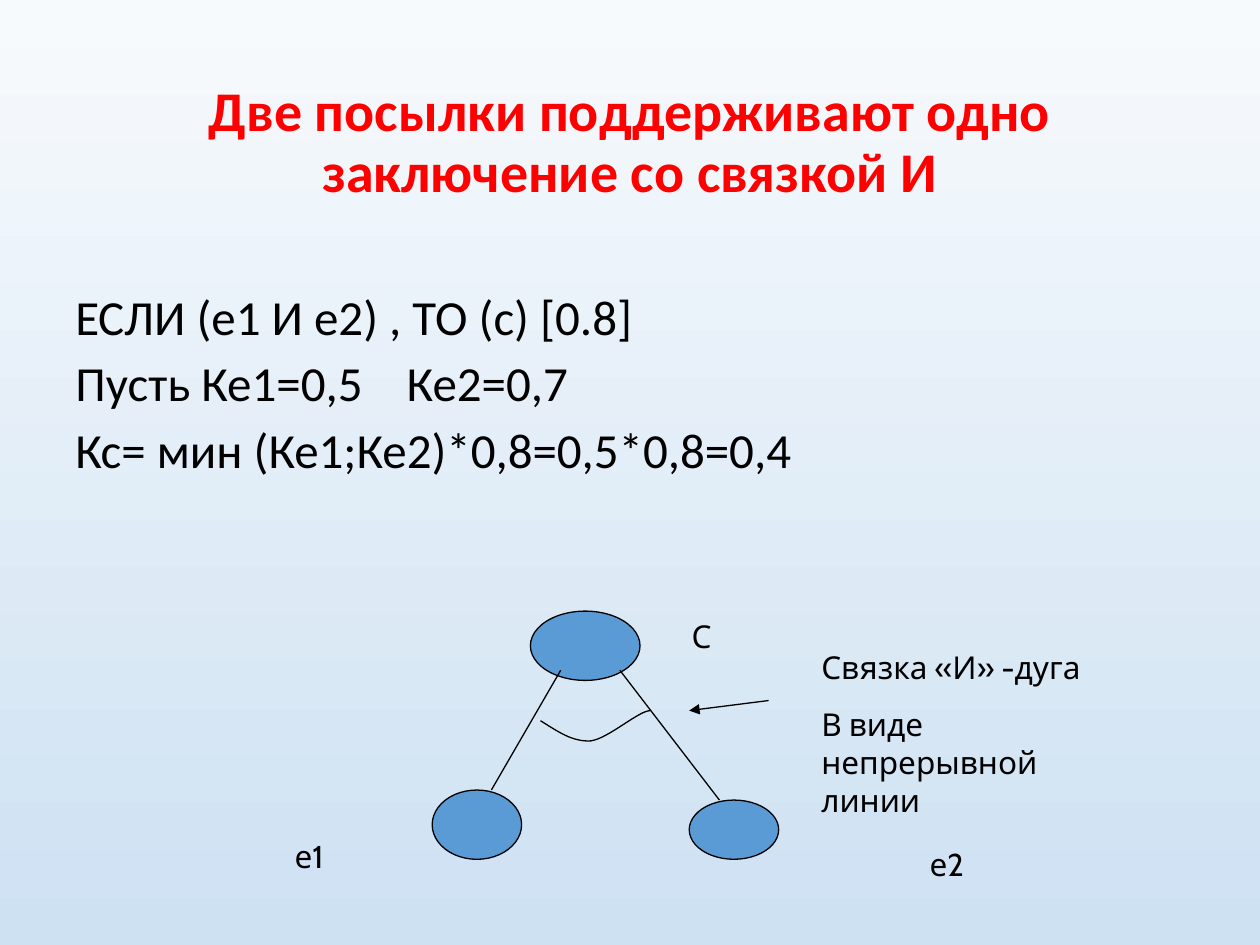
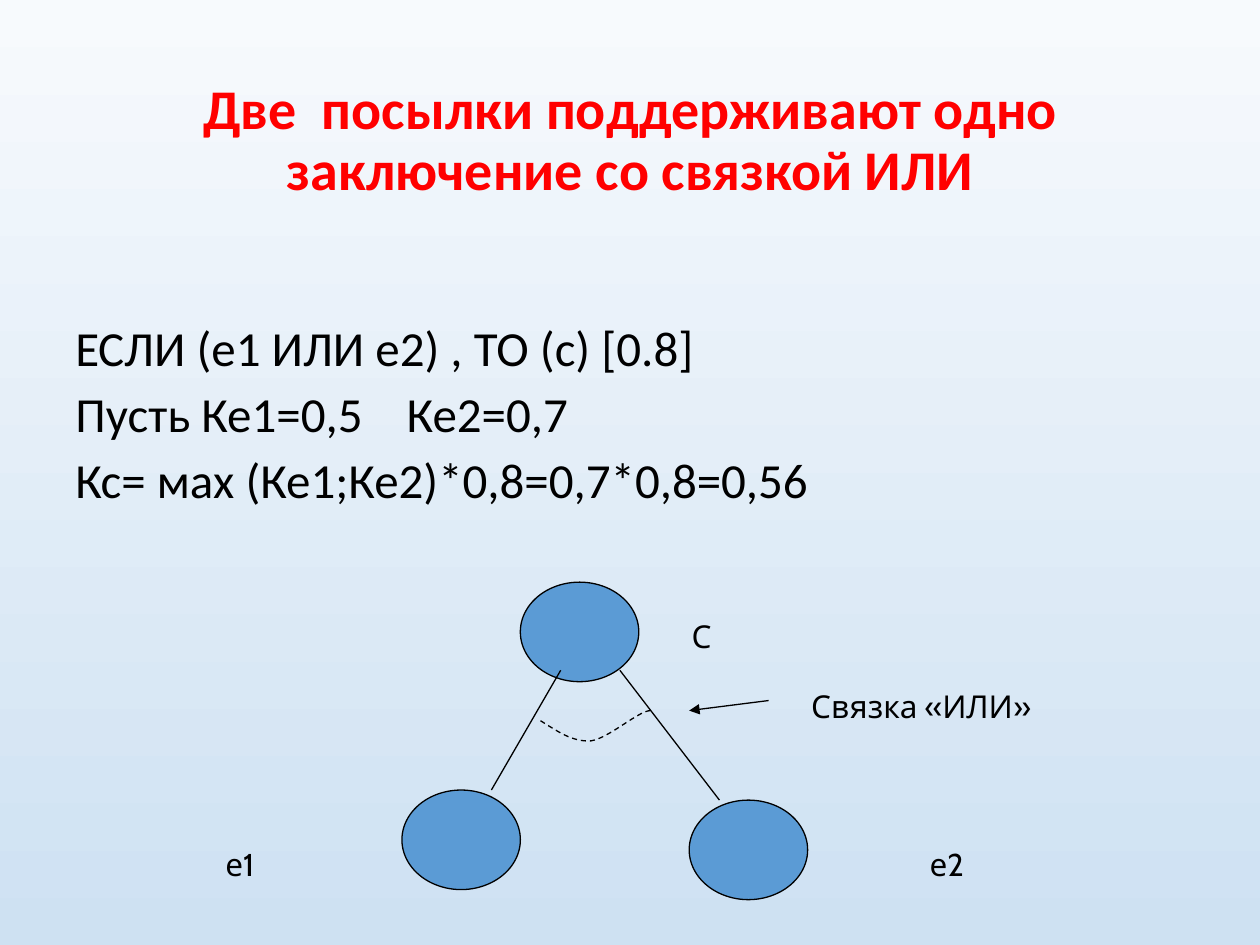
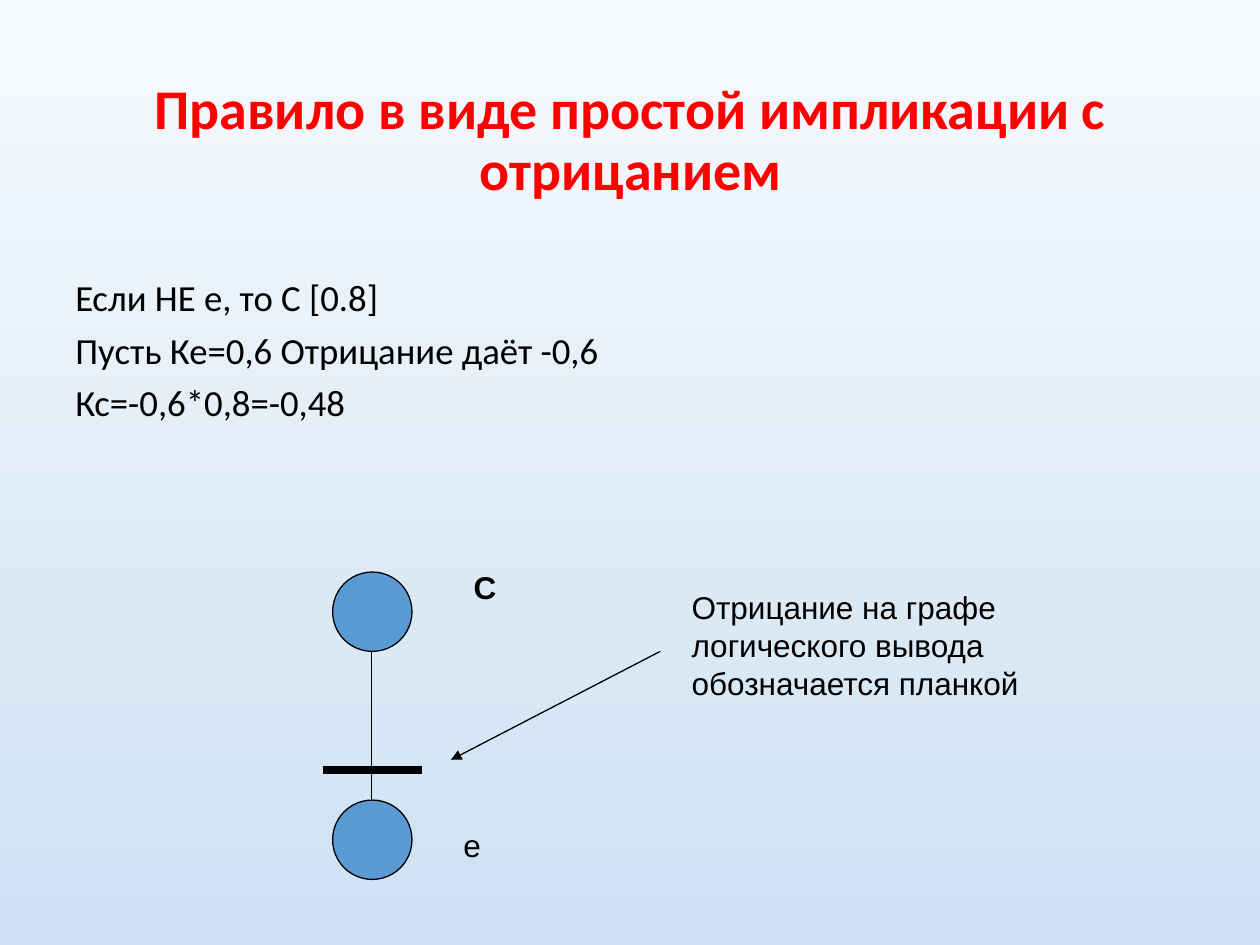
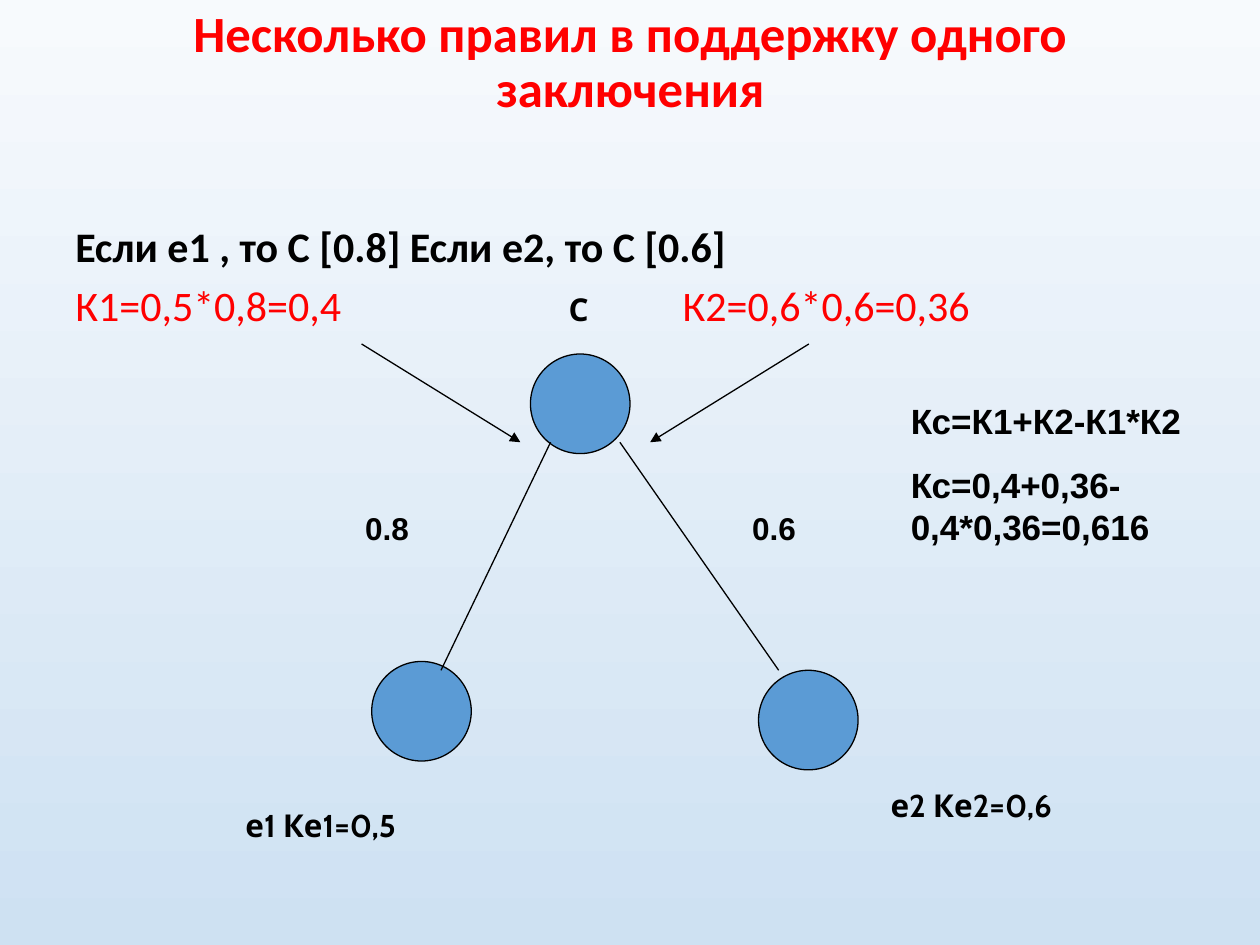
from dataclasses import dataclass
from typing import NamedTuple

from lxml import etree
from pptx import Presentation
from pptx.dml.color import RGBColor
from pptx.enum.dml import MSO_LINE
from pptx.enum.shapes import MSO_CONNECTOR, MSO_SHAPE
from pptx.enum.text import MSO_ANCHOR, MSO_AUTO_SIZE, PP_ALIGN
from pptx.oxml.ns import qn
from pptx.slide import Slide
from pptx.util import Inches, Pt

OVAL = MSO_SHAPE.OVAL
STRAIGHT = MSO_CONNECTOR.STRAIGHT
DASH = MSO_LINE.DASH
CENTER = PP_ALIGN.CENTER
MIDDLE, TOP = MSO_ANCHOR.MIDDLE, MSO_ANCHOR.TOP
FIT, FIXED = MSO_AUTO_SIZE.SHAPE_TO_FIT_TEXT, MSO_AUTO_SIZE.NONE


@dataclass(frozen=True)
class Theme:
    sky: RGBColor = RGBColor(0xF7, 0xFA, 0xFD)
    mist: RGBColor = RGBColor(0xCE, 0xE1, 0xF2)
    red: RGBColor = RGBColor(0xFF, 0, 0)
    black: RGBColor = RGBColor(0, 0, 0)
    blue: RGBColor = RGBColor(0x5B, 0x9B, 0xD5)
    text_font: str = "Calibri"
    graph_font: str = "Cabin"
    note_font: str = "Arial"
    title_size: float = 32
    small_title: float = 29
    rule_size: float = 28
    sum_size: float = 24
    short_size: float = 21
    sub_size: float = 20
    label_size: float = 18
    thin: float = 0.75
    thick: float = 4.5


THEME = Theme()


class Box(NamedTuple):
    left: float
    top: float
    width: float
    height: float


class Point(NamedTuple):
    x: float
    y: float


class Line(NamedTuple):
    start: Point
    end: Point
    arrow: bool = False
    width: float = THEME.thin


class Para(NamedTuple):
    text: str
    color: RGBColor = THEME.black
    bold: bool = False
    tab: float = 0


@dataclass(frozen=True)
class Style:
    font: str
    size: float
    before: float = 0
    spacing: float = 1.0
    align: PP_ALIGN = PP_ALIGN.LEFT
    anchor: MSO_ANCHOR = TOP
    fit: MSO_AUTO_SIZE = FIXED


def title_style(size: float) -> Style:
    return Style(THEME.text_font, size, spacing=0.9, align=CENTER, anchor=MIDDLE)


def body_style(size: float) -> Style:
    return Style(THEME.text_font, size, before=7.5, spacing=0.9)


GRAPH = Style(THEME.graph_font, THEME.label_size, before=11.2, fit=FIT)
NOTE = Style(THEME.note_font, THEME.label_size, before=11.2, fit=FIT)
RESULT = Style(THEME.note_font, THEME.sub_size, before=12.5, fit=FIT)


class Label(NamedTuple):
    box: Box
    paras: list[Para]
    style: Style = GRAPH


TITLE_BOX = Box(0.69, 0.4, 8.63, 1.45)

# Parts shared by the AND and OR graphs
FORK_LINES = [
    Line(Point(4.92, 5.32), Point(5.71, 6.35)),
    Line(Point(4.45, 5.32), Point(3.9, 6.27)),
    Line(Point(6.1, 5.56), Point(5.47, 5.64), arrow=True),
]
FORK_LABELS = [
    Label(Box(5.39, 4.85, 0.87, 0.4), [Para("С")]),
    Label(Box(7.28, 6.66, 0.55, 0.4), [Para("е2")]),
]
GIVEN = Para("Пусть Ке1=0,5\tКе2=0,7", tab=2.63)
ARC = [
    (Point(4.29, 5.72), Point(4.42, 5.8), Point(4.54, 5.89), Point(4.69, 5.88)),
    (Point(4.69, 5.88), Point(4.83, 5.86), Point(5.07, 5.64), Point(5.16, 5.64)),
]
ARC_STEPS = 16


def add_text(slide: Slide, box: Box, paras: list[Para], style: Style, lead: float = 0) -> None:
    """Write paragraphs in a box, with lead inches of extra room above them."""
    frame = slide.shapes.add_textbox(*map(Inches, box)).text_frame
    setup = {"word_wrap": True, "auto_size": style.fit, "vertical_anchor": style.anchor,
             "margin_top": Inches(0.05 + lead)}
    for name, value in setup.items():
        setattr(frame, name, value)
    for i, para in enumerate(paras):
        p = frame.add_paragraph() if i else frame.paragraphs[0]
        layout = {"alignment": style.align, "line_spacing": style.spacing,
                  "space_before": Pt(style.before)}
        for name, value in layout.items():
            setattr(p, name, value)
        if para.tab:
            tabs = etree.SubElement(p._p.get_or_add_pPr(), qn("a:tabLst"))
            etree.SubElement(tabs, qn("a:tab"), pos=str(Inches(para.tab)), algn="l")
        run = p.add_run()
        run.text = para.text
        face = {"name": style.font, "size": Pt(style.size), "bold": para.bold}
        for name, value in face.items():
            setattr(run.font, name, value)
        run.font.color.rgb = para.color


def add_node(slide: Slide, box: Box) -> None:
    node = slide.shapes.add_shape(OVAL, *map(Inches, box))
    node.shadow.inherit = False
    node.fill.solid()
    node.fill.fore_color.rgb = THEME.blue
    node.line.color.rgb = THEME.black
    node.line.width = Pt(THEME.thin)


def add_line(slide: Slide, line: Line) -> None:
    link = slide.shapes.add_connector(STRAIGHT, *map(Inches, line.start + line.end))
    link.line.color.rgb = THEME.black
    link.line.width = Pt(line.width)
    if line.arrow:
        etree.SubElement(link.line._get_or_add_ln(), qn("a:tailEnd"), type="triangle")
    etree.SubElement(link._element.spPr, qn("a:effectLst"))


def curve_at(curve: tuple[Point, ...], t: float) -> tuple[int, int]:
    """Find the point at t on a cubic curve."""
    s = 1 - t
    parts = (s ** 3, 3 * s * s * t, 3 * s * t * t, t ** 3)
    x, y = (sum(k * v for k, v in zip(parts, axis)) for axis in zip(*curve))
    return Inches(x), Inches(y)


def add_arc(slide: Slide, dashed: bool) -> None:
    pen = slide.shapes.build_freeform(*map(Inches, ARC[0][0]))
    pen.add_line_segments(
        [curve_at(curve, i / ARC_STEPS) for curve in ARC for i in range(1, ARC_STEPS + 1)],
        close=False)
    arc = pen.convert_to_shape()
    arc.shadow.inherit = False
    arc.fill.background()
    arc.line.color.rgb = THEME.black
    arc.line.width = Pt(THEME.thin)
    if dashed:
        arc.line.dash_style = DASH


@dataclass(frozen=True)
class Page:
    title: str
    body_box: Box
    body: list[Para]
    body_size: float
    nodes: list[Box]
    lines: list[Line]
    labels: list[Label]
    title_box: Box = TITLE_BOX
    title_size: float = THEME.title_size
    lead: float = 0
    arc: bool = False
    dashed: bool = False


PAGES = [
    Page(
        "Две посылки поддерживают одно заключение со связкой И",
        Box(0.5, 1.75, 9, 5.47),
        [Para("ЕСЛИ (е1 И е2) , ТО (с) [0.8]"), GIVEN,
         Para("Кс= мин (Ке1;Ке2)*0,8=0,5*0,8=0,4")],
        THEME.rule_size,
        nodes=[Box(4.21, 4.85, 0.87, 0.55), Box(3.43, 6.27, 0.71, 0.55),
               Box(5.47, 6.35, 0.71, 0.47)],
        lines=FORK_LINES,
        labels=FORK_LABELS + [
            Label(Box(2.24, 6.59, 0.94, 0.4), [Para("е1")]),
            Label(Box(6.42, 5.09, 2.44, 1.46),
                  [Para("Связка «И» -дуга"), Para("В виде непрерывной линии")]),
        ],
        title_box=Box(0.5, 0.5, 9, 1.28), lead=0.53, arc=True,
    ),
    Page(
        "Две  посылки поддерживают одно заключение со связкой ИЛИ",
        Box(0.5, 2.1, 9, 5.12),
        [Para("ЕСЛИ (е1 ИЛИ е2) , ТО (с) [0.8]"), GIVEN,
         Para("Кс= мах (Ке1;Ке2)*0,8=0,7*0,8=0,56")],
        THEME.rule_size,
        nodes=[Box(x, y, 0.94, 0.79) for x, y in ((4.13, 4.62), (3.19, 6.27), (5.47, 6.35))],
        lines=FORK_LINES,
        labels=FORK_LABELS + [
            Label(Box(1.69, 6.66, 0.94, 0.4), [Para("е1")]),
            Label(Box(6.34, 5.4, 2.44, 0.4), [Para("Связка «ИЛИ»")]),
        ],
        lead=0.42, arc=True, dashed=True,
    ),
    Page(
        "Правило в виде простой импликации с отрицанием",
        Box(0.5, 2.17, 9, 4.73),
        [Para("Если НЕ е, то С [0.8]"), Para("Пусть Ке=0,6 Отрицание даёт -0,6"),
         Para("Кс=-0,6*0,8=-0,48")],
        THEME.short_size,
        nodes=[Box(2.64, y, 0.63, 0.63) for y in (4.54, 6.35)],
        lines=[
            Line(Point(2.95, 5.17), Point(2.95, 6.35)),
            Line(Point(2.56, 6.11), Point(3.35, 6.11), width=THEME.thick),
            Line(Point(5.24, 5.17), Point(3.58, 6.03), arrow=True),
        ],
        labels=[
            Label(Box(3.58, 6.51, 0.94, 0.4), [Para("е")], NOTE),
            Label(Box(3.66, 4.46, 0.79, 0.4), [Para("С", bold=True)], NOTE),
            Label(Box(5.39, 4.62, 3.15, 1),
                  [Para("Отрицание на графе логического вывода обозначается планкой")], NOTE),
        ],
    ),
    Page(
        "Несколько правил в поддержку одного заключения",
        Box(0.5, 1.75, 9, 5.47),
        [Para("Если е1 , то С [0.8] Если е2, то С [0.6]", bold=True),
         Para("К1=0,5*0,8=0,4\tК2=0,6*0,6=0,36", THEME.red, tab=4.82)],
        THEME.sum_size,
        nodes=[Box(x, y, 0.79, 0.79) for x, y in ((4.21, 2.81), (2.95, 5.25), (6.02, 5.32))],
        lines=[
            Line(Point(3.5, 5.32), Point(4.37, 3.51)),
            Line(Point(4.92, 3.51), Point(6.18, 5.32)),
            Line(Point(2.87, 2.73), Point(4.13, 3.51), arrow=True),
            Line(Point(6.42, 2.73), Point(5.16, 3.51), arrow=True),
        ],
        labels=[
            Label(Box(4.36, 2.25, 0.47, 0.4), [Para(" С", bold=True)]),
            Label(Box(1.85, 6.35, 3.7, 0.4), [Para("е1 Ке1=0,5", bold=True)]),
            Label(Box(6.97, 6.19, 2.6, 0.4), [Para("е2 Ке2=0,6", bold=True)]),
            Label(Box(2.8, 3.99, 0.71, 0.4), [Para("0.8", bold=True)], NOTE),
            Label(Box(5.87, 3.99, 0.79, 0.4), [Para("0.6", bold=True)], NOTE),
            Label(Box(7.13, 3.12, 2.68, 1.28),
                  [Para("Кс=К1+К2-К1*К2", bold=True),
                   Para("Кс=0,4+0,36-0,4*0,36=0,616", bold=True)], RESULT),
        ],
        title_box=Box(0.69, 0.09, 8.63, 0.83), title_size=THEME.small_title,
    ),
]


def paint_back(slide: Slide) -> None:
    fill = slide.background.fill
    fill.gradient()
    fill.gradient_angle = 270
    for stop, color in zip(fill.gradient_stops, (THEME.sky, THEME.mist)):
        stop.color.rgb = color


def draw_page(slide: Slide, page: Page) -> None:
    paint_back(slide)
    add_text(slide, page.title_box, [Para(page.title, THEME.red, True)],
             title_style(page.title_size))
    add_text(slide, page.body_box, page.body, body_style(page.body_size), page.lead)
    for node in page.nodes:
        add_node(slide, node)
    for line in page.lines:
        add_line(slide, line)
    if page.arc:
        add_arc(slide, page.dashed)
    for label in page.labels:
        add_text(slide, *label)


def main() -> None:
    deck = Presentation()
    deck.slide_width, deck.slide_height = Inches(10), Inches(7.5)
    blank = deck.slide_layouts[6]
    for page in PAGES:
        draw_page(deck.slides.add_slide(blank), page)
    deck.save("out.pptx")


if __name__ == "__main__":
    main()
